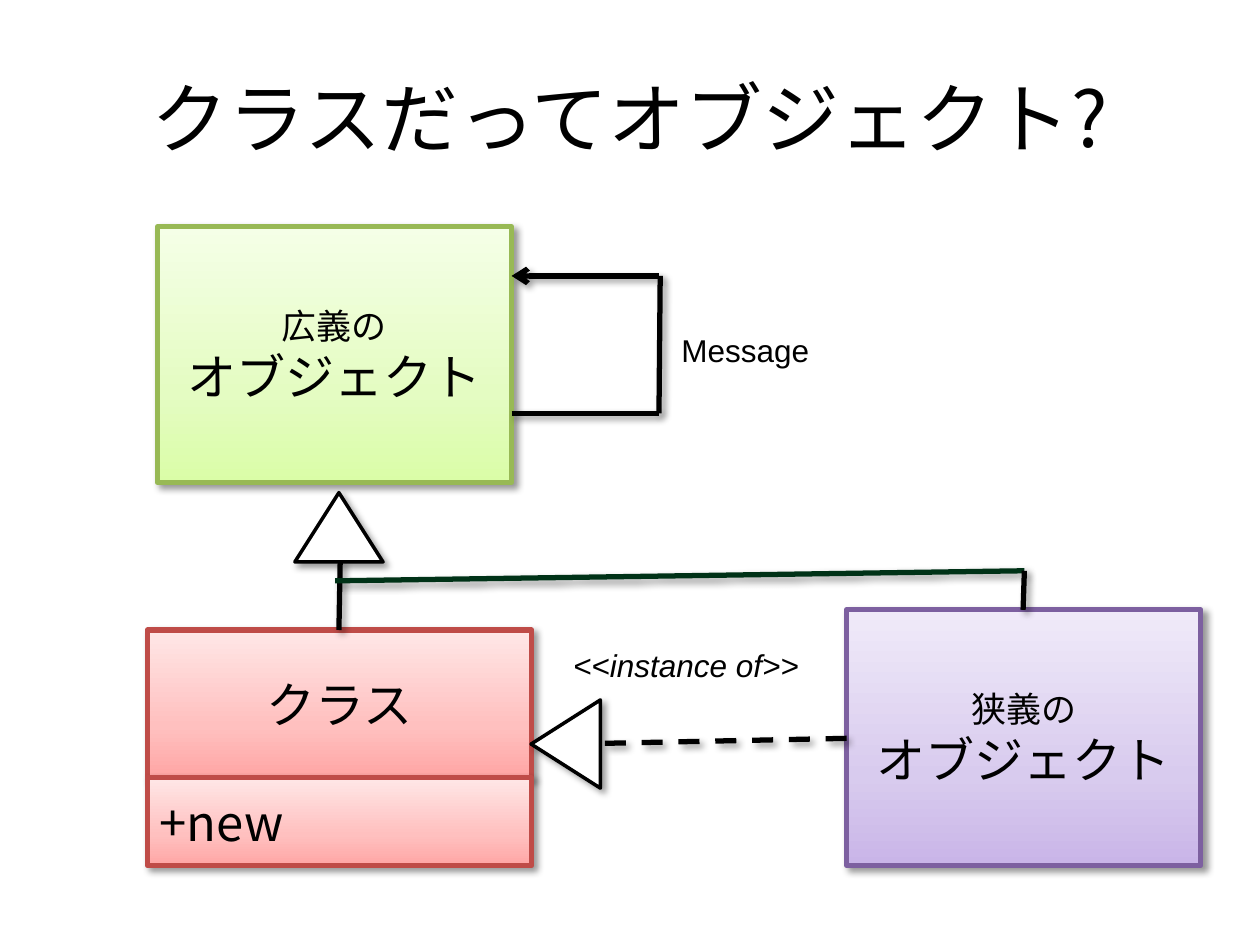
import copy

import lxml.etree
import pptx
import pptx.dml.color
import pptx.enum.dml
import pptx.enum.shapes
import pptx.enum.text
import pptx.oxml
import pptx.oxml.ns
import pptx.util

SHAPE = pptx.enum.shapes.MSO_SHAPE
ALIGN = pptx.enum.text.PP_ALIGN
qn = pptx.oxml.ns.qn
rgb = pptx.dml.color.RGBColor.from_string
Pt = pptx.util.Pt

THEME = {
    "japanese": "Noto Sans CJK JP", "latin": "Arial",
    "title": 44, "name": 28, "qualifier": 20, "label": 18,
    "border": 3, "triangle border": 2,
    "ink": "000000", "paper": "FFFFFF", "branch": "003217",
    # border, then gradient stops from bottom to top
    "green": ("98B955", "DAFDA7", "E4FCC2", "F5FFE7"),
    "purple": ("7D60A0", "C9B5E8", "D8CBEE", "F0EAF9"),
    "red": ("BF4C48", "FFA6A5", "FFC0BF", "FFE7E7"),
}

deck = pptx.Presentation()
deck.slide_width = pptx.util.Inches(10)
deck.slide_height = pptx.util.Inches(7.5)
slide = deck.slides.add_slide(deck.slide_layouts[5])
shapes = slide.shapes
COLUMN, ROW = deck.slide_width / 100, deck.slide_height / 75


def write(target, *lines, font=THEME["japanese"], align=ALIGN.CENTER, italic=None, wrap=True):
    """Fill target with one paragraph per (text, size) pair."""
    frame = target.text_frame
    frame.word_wrap = wrap
    for index, (text, size) in enumerate(lines):
        paragraph = frame.add_paragraph() if index else frame.paragraphs[0]
        paragraph.alignment = align
        run = paragraph.add_run()
        run.text = text
        run.font.size = Pt(size)
        run.font.name = font
        run.font.italic = italic
        run.font.color.rgb = rgb(THEME["ink"])
        latin = run.font._element.find(qn("a:latin"))
        east_asian = lxml.etree.Element(qn("a:ea"), typeface=font)
        latin.addnext(east_asian)


def outline(item, color, width):
    """Draw the border or line, with the soft shadow every part shares."""
    item.line.color.rgb = rgb(color)
    item.line.width = Pt(width)
    item._element.spPr.append(pptx.oxml.parse_xml(
        '<a:effectLst xmlns:a="http://schemas.openxmlformats.org/drawingml/2006/main">'
        f'<a:outerShdw blurRad="{Pt(4)}" dist="{Pt(3)}" dir="2700000" rotWithShape="0">'
        '<a:srgbClr val="000000"><a:alpha val="40000"/></a:srgbClr>'
        '</a:outerShdw></a:effectLst>'))


# Title
title = shapes.title
title.left, title.top = int(5 * COLUMN), int(3 * ROW)
title.width, title.height = int(90 * COLUMN), int(12.5 * ROW)
title.text_frame.vertical_anchor = pptx.enum.text.MSO_ANCHOR.MIDDLE
write(title, ("クラスだってオブジェクト?", THEME["title"]))

# Boxes: column, row, columns wide, rows high
object_name = ("オブジェクト", THEME["name"])
boxes = [
    (12.5, 18, 28.1, 20.3, "green", ALIGN.CENTER, [("広義の", THEME["qualifier"]), object_name]),
    (67.2, 48.4, 28.1, 20.3, "purple", ALIGN.CENTER, [("狭義の", THEME["qualifier"]), object_name]),
    (11.7, 50, 30.5, 11.7, "red", ALIGN.CENTER, [("クラス", THEME["name"])]),
    (11.7, 61.7, 30.5, 7, "red", ALIGN.LEFT, [("+new", THEME["name"])]),
]
for column, row, wide, high, tint, align, lines in boxes:
    box = shapes.add_shape(SHAPE.RECTANGLE, int(column * COLUMN), int(row * ROW),
                           int(wide * COLUMN), int(high * ROW))
    border, *tones = THEME[tint]
    box.fill.gradient()
    box.fill.gradient_angle = 90
    stop_list = box._element.spPr.find(".//" + qn("a:gsLst"))
    stop_list.insert(1, copy.deepcopy(stop_list[0]))
    for stop, tone, position in zip(box.fill.gradient_stops, tones, (0, 0.35, 1)):
        stop.color.rgb = rgb(tone)
        stop.position = position
    outline(box, border, THEME["border"])
    box.text_frame.vertical_anchor = pptx.enum.text.MSO_ANCHOR.MIDDLE
    write(box, *lines, align=align)

# Lines: start column and row, end column and row
ink = THEME["ink"]
links = [
    (67.2, 58.6, 47.7, 59, ink, "dash"),
    (27, 44.5, 26.9, 50, ink, None),
    (26.6, 46.1, 81.3, 45.3, THEME["branch"], None),
    (81.2, 48.4, 81.3, 45.3, ink, None),
    (52.3, 21.9, 40.6, 21.9, ink, "arrow"),
    (52.4, 21.9, 52.3, 32.8, ink, None),
    (40.6, 32.8, 52.3, 32.8, ink, None),
]
for column, row, end_column, end_row, color, style in links:
    link = shapes.add_connector(pptx.enum.shapes.MSO_CONNECTOR.STRAIGHT,
                                int(column * COLUMN), int(row * ROW),
                                int(end_column * COLUMN), int(end_row * ROW))
    outline(link, color, THEME["border"])
    if style == "dash":
        link.line.dash_style = pptx.enum.dml.MSO_LINE.DASH
    elif style == "arrow":
        lxml.etree.SubElement(link.line._get_or_add_ln(), qn("a:tailEnd"), type="arrow")

# Hollow triangles: inheritance points up, instantiation points left
for column, row, turn in [(23.4, 39.1, 0), (41.4, 56.3, 270)]:
    triangle = shapes.add_shape(SHAPE.ISOSCELES_TRIANGLE, int(column * COLUMN), int(row * ROW),
                                int(7 * COLUMN), int(5.5 * ROW))
    triangle.rotation = turn
    triangle.fill.solid()
    triangle.fill.fore_color.rgb = rgb(THEME["paper"])
    outline(triangle, ink, THEME["triangle border"])

# Labels
for column, row, wide, text, italic in [(44.5, 50.8, 20.1, "<<instance of>>", True),
                                        (53.1, 25.8, 12.3, "Message", None)]:
    label = shapes.add_textbox(int(column * COLUMN), int(row * ROW),
                               int(wide * COLUMN), int(4 * ROW))
    label.text_frame.auto_size = pptx.enum.text.MSO_AUTO_SIZE.SHAPE_TO_FIT_TEXT
    write(label, (text, THEME["label"]), font=THEME["latin"], align=ALIGN.LEFT,
          italic=italic, wrap=False)

deck.save("out.pptx")
